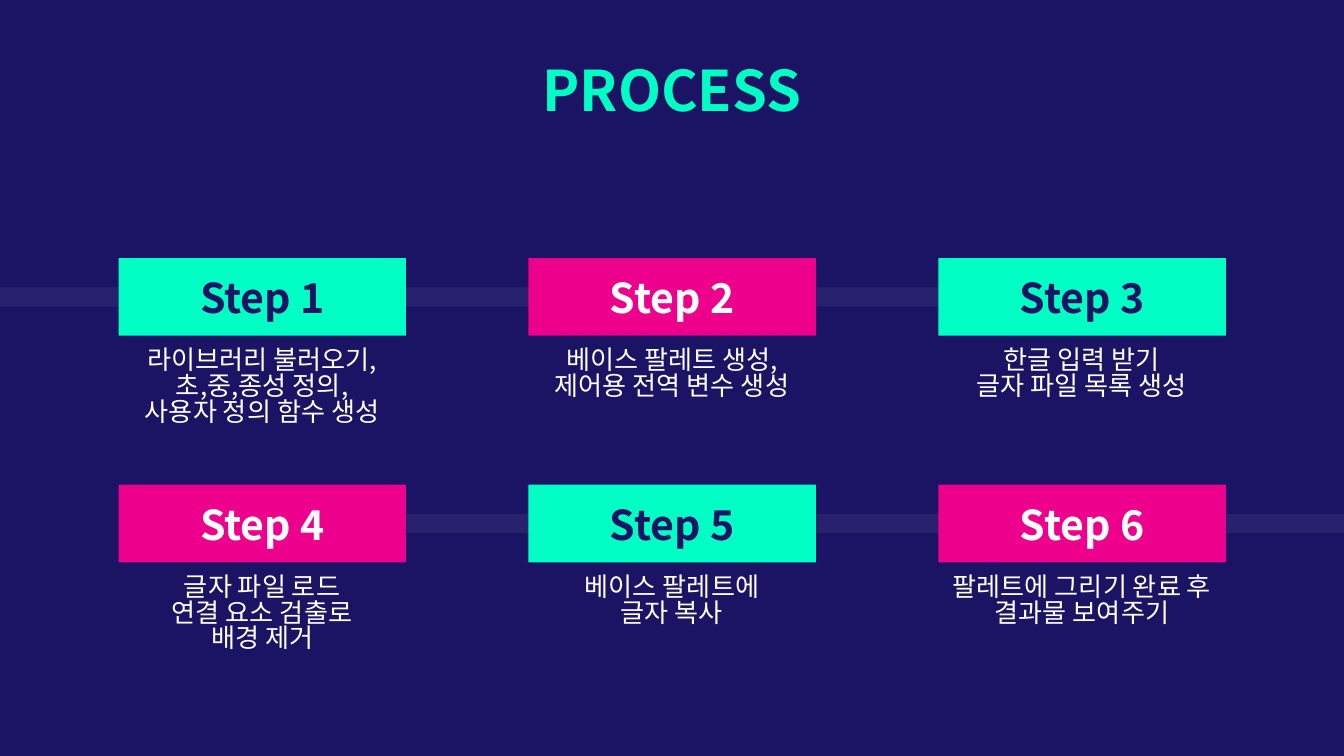
from lxml.etree import SubElement
from pptx import Presentation
from pptx.dml.color import RGBColor
from pptx.enum.shapes import MSO_SHAPE
from pptx.enum.text import MSO_ANCHOR, PP_ALIGN
from pptx.oxml.ns import qn
from pptx.util import Pt

NAVY = RGBColor(0x1B, 0x14, 0x64)
MINT = RGBColor(0x00, 0xFF, 0xC5)
PINK = RGBColor(0xEC, 0x00, 0x8C)
WHITE = RGBColor(0xFF, 0xFF, 0xFF)
FONT = "Noto Sans CJK KR"

WIDTH, HEIGHT = 720, 405
LEFT, TOP = 63.5, 138.3
COL_STEP, ROW_STEP = 219.6, 121.4
CARD_W, HEAD_H, BODY_H = 154, 41.6, 52.4

# Each step: body lines and body width
STEPS = [
    (["라이브러리 불러오기,", "초,중,종성 정의,", "사용자 정의 함수 생성"], 149),
    (["베이스 팔레트 생성,", "제어용 전역 변수 생성"], 149),
    (["한글 입력 받기", "글자 파일 목록 생성"], 149),
    (["글자 파일 로드", "연결 요소 검출로", "배경 제거"], 149),
    (["베이스 팔레트에", "글자 복사"], 149),
    (["팔레트에 그리기 완료 후", "결과물 보여주기"], 165.6),
]


def write(shape, lines, size, color, bold=False, spacing=1.0, anchor=MSO_ANCHOR.TOP):
    frame = shape.text_frame
    frame.word_wrap = True
    frame.vertical_anchor = anchor
    frame.margin_left = frame.margin_right = Pt(7.2)
    frame.margin_top = frame.margin_bottom = Pt(7.2)
    for i, line in enumerate(lines):
        para = frame.paragraphs[0] if i == 0 else frame.add_paragraph()
        para.alignment = PP_ALIGN.CENTER
        para.line_spacing = spacing
        run = para.add_run()
        run.text = line
        font = run.font
        font.name, font.size, font.bold = FONT, Pt(size), bold
        font.color.rgb = color
        SubElement(run._r.get_or_add_rPr(), qn("a:ea")).set("typeface", FONT)


def add_text(slide, x, y, w, h, lines, size, color, **style):
    box = slide.shapes.add_textbox(Pt(x), Pt(y), Pt(w), Pt(h))
    write(box, lines, size, color, **style)


def add_block(slide, x, y, w, h, fill):
    block = slide.shapes.add_shape(MSO_SHAPE.RECTANGLE, Pt(x), Pt(y), Pt(w), Pt(h))
    block.shadow.inherit = False
    block.fill.solid()
    block.fill.fore_color.rgb = fill
    block.line.fill.background()
    return block


def add_band(slide, x, y, w):
    """Draw a faint strip that links the steps of a row."""
    band = add_block(slide, x, y, w, 10.3, WHITE)
    color = band._element.spPr.find(qn("a:solidFill"))[0]
    SubElement(color, qn("a:alpha")).set("val", "6000")


def add_step(slide, x, y, number, lines, width):
    fill, ink = (MINT, NAVY) if number % 2 else (PINK, WHITE)
    head = add_block(slide, x, y, CARD_W, HEAD_H, fill)
    write(head, [f"Step {number}"], 22, ink, bold=True, anchor=MSO_ANCHOR.MIDDLE)
    add_text(slide, x + (CARD_W - width) / 2, y + HEAD_H, width, BODY_H,
             lines, 14, WHITE, spacing=0.82)


def add_process(slide):
    slide.background.fill.solid()
    slide.background.fill.fore_color.rgb = NAVY
    band_y = TOP + 15.6
    add_band(slide, 0, band_y, 613.4)
    add_band(slide, 73.4, band_y + ROW_STEP, WIDTH - 73.4)
    add_text(slide, 100.8, 26.6, 518.4, 52.4, ["PROCESS"], 30, MINT,
             bold=True, spacing=0.9)
    for i, (lines, width) in enumerate(STEPS):
        row, col = divmod(i, 3)
        add_step(slide, LEFT + col * COL_STEP, TOP + row * ROW_STEP,
                 i + 1, lines, width)


def main():
    deck = Presentation()
    deck.slide_width, deck.slide_height = Pt(WIDTH), Pt(HEIGHT)
    add_process(deck.slides.add_slide(deck.slide_layouts[6]))
    deck.save("out.pptx")


if __name__ == "__main__":
    main()
